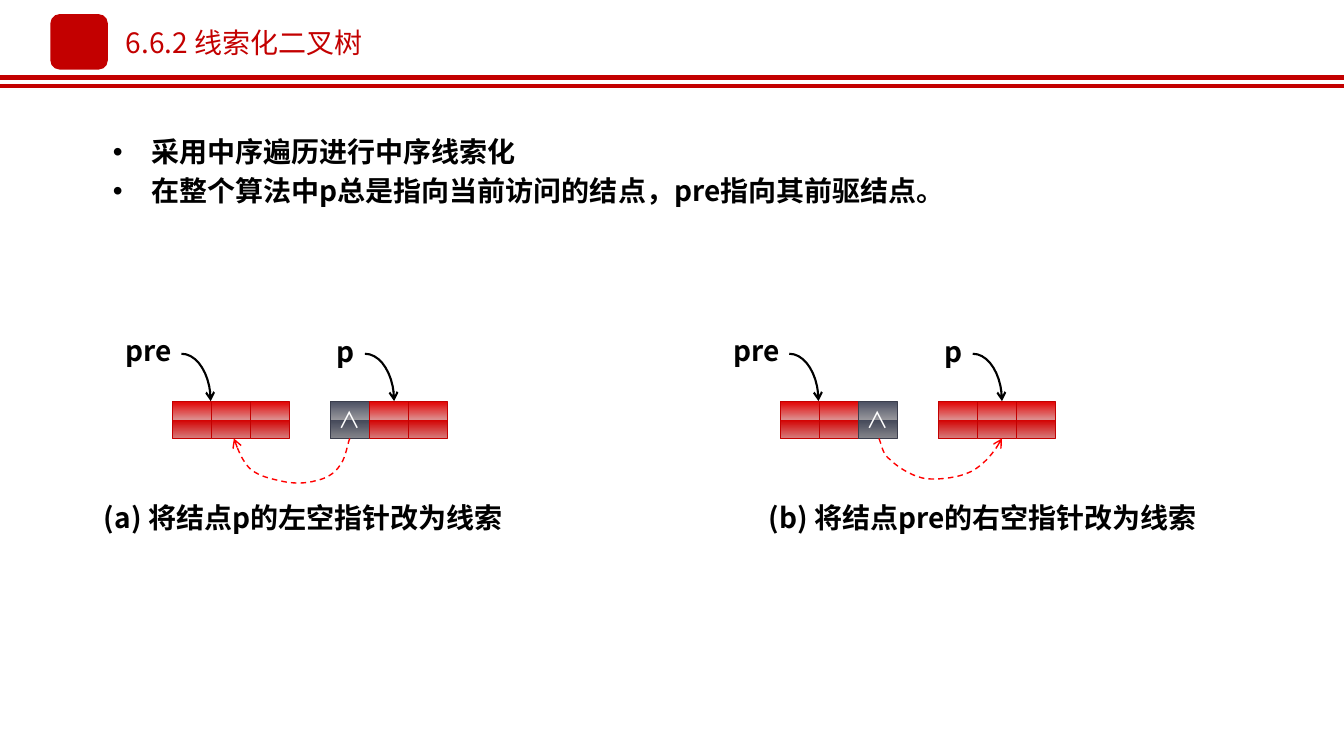
from lxml import etree
from pptx import Presentation, util as u
from pptx.dml.color import RGBColor
from pptx.enum import dml, shapes, text
from pptx.oxml import ns

RED = RGBColor(0xC3, 0x00, 0x00)
THREAD_RED = RGBColor(0xFF, 0x00, 0x00)
SLATE = RGBColor(0x3B, 0x3E, 0x4D)
BLACK = RGBColor(0x00, 0x00, 0x00)
WHITE = RGBColor(0xFF, 0xFF, 0xFF)
RED_GLOSS = ((0, "E20000"), (50, "DC9090"), (50, "D30000"), (100, "D77C7C"))
SLATE_GLOSS = ((0, "4B4F62"), (50, "97979C"), (50, "434758"), (100, "84858B"))
FONT = "Noto Sans CJK SC"
COLUMN = ROW = u.Inches(0.1)
COLUMNS, ROWS = 133.33, 75
CELL, CELL_HEIGHT, NODE_TOP = 3.87, 3.7, 39.8
NODE_GAP, DIAGRAM_GAP = 15.65, 60.3


def child(parent, tag, **attributes):
    return etree.SubElement(parent, ns.qn(tag), attributes)


def bezier(start, *segments, steps=10):
    points = [start]
    for c1, c2, end in segments:
        origin = points[-1]
        for step in range(1, steps + 1):
            t = step / steps
            weights = ((1 - t) ** 3, 3 * t * (1 - t) ** 2, 3 * t * t * (1 - t), t ** 3)
            corners = (origin, c1, c2, end)
            points.append(tuple(sum(w * corner[axis] for w, corner in zip(weights, corners))
                                for axis in (0, 1)))
    return points


class Board:
    def __init__(self, slide):
        self.slide = slide

    def span(self, *lengths):
        return [round(length * unit) for length, unit in zip(lengths, (COLUMN, ROW) * 2)]

    def rule(self, row):
        line = self.slide.shapes.add_connector(
            shapes.MSO_CONNECTOR.STRAIGHT, *self.span(0, row, COLUMNS, row))
        line.line.color.rgb = RED
        line.line.width = u.Pt(3)
        child(line.element.spPr, "a:effectLst")

    def block(self, box, fill, kind=shapes.MSO_SHAPE.RECTANGLE):
        block = self.slide.shapes.add_shape(kind, *self.span(*box))
        block.shadow.inherit = False
        block.fill.solid()
        block.fill.fore_color.rgb = fill
        block.line.fill.background()
        return block

    def typeset(self, shape, lines, size=20, color=BLACK, bold=True, insets=(0, 0, 0, 0),
                align=text.PP_ALIGN.CENTER, anchor=text.MSO_ANCHOR.TOP, bullets=False):
        frame = shape.text_frame
        frame.text = lines
        frame.word_wrap = True
        frame.vertical_anchor = anchor
        (frame.margin_left, frame.margin_top,
         frame.margin_right, frame.margin_bottom) = map(u.Inches, insets)
        for paragraph in frame.paragraphs:
            paragraph.alignment = align
            if bullets:
                paragraph.line_spacing = u.Pt(28)
                props = paragraph._p.get_or_add_pPr()
                props.set("marL", str(u.Inches(0.38)))
                props.set("indent", str(-u.Inches(0.38)))
                child(props, "a:buFont", typeface="Arial")
                child(props, "a:buChar", char="•")
            for run in paragraph.runs:
                run.font.size = u.Pt(size)
                run.font.bold = bold
                run.font.color.rgb = color
                run.font.name = FONT
                child(run._r.get_or_add_rPr(), "a:ea", typeface=FONT)

    def label(self, box, lines, **style):
        self.typeset(self.block(box, WHITE), lines, **style)

    def title(self, box, words):
        heading = self.slide.shapes.add_textbox(*self.span(*box))
        self.typeset(heading, words, color=RED, bold=False, insets=(0.1, 0.05, 0.1, 0.05),
                     align=text.PP_ALIGN.LEFT, anchor=text.MSO_ANCHOR.MIDDLE)

    def node(self, left, null_field=None):
        for field in range(3):
            empty = field == null_field
            cell = self.block((left + field * CELL, NODE_TOP, CELL, CELL_HEIGHT), RED)
            cell.fill.gradient()
            cell.fill.gradient_angle = 270
            stops = cell.element.spPr.find(".//" + ns.qn("a:gsLst"))
            stops.clear()
            for position, color in SLATE_GLOSS if empty else RED_GLOSS:
                stop = child(stops, "a:gs", pos=str(position * 1000))
                child(stop, "a:srgbClr", val=color)
            cell.line.color.rgb = SLATE if empty else RED
            cell.line.width = u.Pt(0.5)
            if empty:
                self.typeset(cell, "∧", size=16, color=WHITE, bold=False,
                             insets=(0, 0.05, 0, 0.05), anchor=text.MSO_ANCHOR.MIDDLE)

    def arrow(self, points, color, width, dashed=False):
        start, *rest = [self.span(*point) for point in points]
        builder = self.slide.shapes.build_freeform(*start)
        builder.add_line_segments(rest, close=False)
        curve = builder.convert_to_shape()
        curve.shadow.inherit = False
        curve.fill.background()
        curve.line.color.rgb = color
        curve.line.width = u.Pt(width)
        if dashed:
            curve.line.dash_style = dml.MSO_LINE.DASH
        child(curve.element.spPr.get_or_add_ln(), "a:tailEnd", type="arrow")

    def pointer(self, left, top, width, name):
        self.label((left, top, width, 3.7), name)
        x = left + width
        self.arrow(bezier((x, 35.1), ((x + 1.6, 35.1), (x + 2.9, 37.2), (x + 2.9, 39.8))),
                   BLACK, 1.5)


def main():
    deck = Presentation()
    deck.slide_width, deck.slide_height = round(COLUMNS * COLUMN), ROWS * ROW
    board = Board(deck.slides.add_slide(deck.slide_layouts[6]))

    for row in (7.7, 8.5):
        board.rule(row)
    board.block((5, 1.4, 5.7, 5.5), RED, shapes.MSO_SHAPE.ROUNDED_RECTANGLE)

    left_thread = bezier(
        (34.7, 43.5),
        ((34.5, 43.9), (34.3, 45.5), (33.7, 46.2)),
        ((33.2, 47), (32.3, 47.5), (31.3, 47.7)),
        ((30.3, 48), (28.9, 48), (27.8, 47.7)),
        ((26.8, 47.5), (25.6, 47.2), (24.8, 46.5)),
        ((24, 45.7), (23.6, 44.6), (23.2, 43.5)))
    right_thread = bezier(
        (87.2, 43.5),
        ((87.5, 44.2), (87.5, 45), (88.3, 45.6)),
        ((89, 46.3), (90.5, 47.3), (91.9, 47.5)),
        ((93.3, 47.6), (95.2, 47.4), (96.5, 46.7)),
        ((97.7, 46), (98.7, 44.8), (99.4, 43.5)))
    diagrams = (
        (None, 0, left_thread, (9.6, 49.7, 41, 3.7), "(a) 将结点p的左空指针改为线索"),
        (2, None, right_thread, (75.3, 49.7, 44.4, 5), "(b) 将结点pre的右空指针改为线索"),
    )
    for index, (pre_null, p_null, thread, caption_box, caption) in enumerate(diagrams):
        shift = index * DIAGRAM_GAP
        board.node(17.1 + shift, pre_null)
        board.node(17.1 + NODE_GAP + shift, p_null)
        board.pointer(11.5 + shift, 33.1, 6.5, "pre")
        board.pointer(32.3 + shift, 33.2, 3.9, "p")
        board.label(caption_box, caption)
        board.arrow(thread, THREAD_RED, 1, dashed=True)

    board.label((9.2, 11.6, 87.5, 10.2),
                "采用中序遍历进行中序线索化\n"
                "在整个算法中p总是指向当前访问的结点，pre指向其前驱结点。",
                insets=(0.2, 0.12, 0.1, 0.12), align=text.PP_ALIGN.LEFT, bullets=True)
    board.title((11.5, 2, 25.7, 4.4), "6.6.2 线索化二叉树")
    deck.save("out.pptx")


if __name__ == "__main__":
    main()
